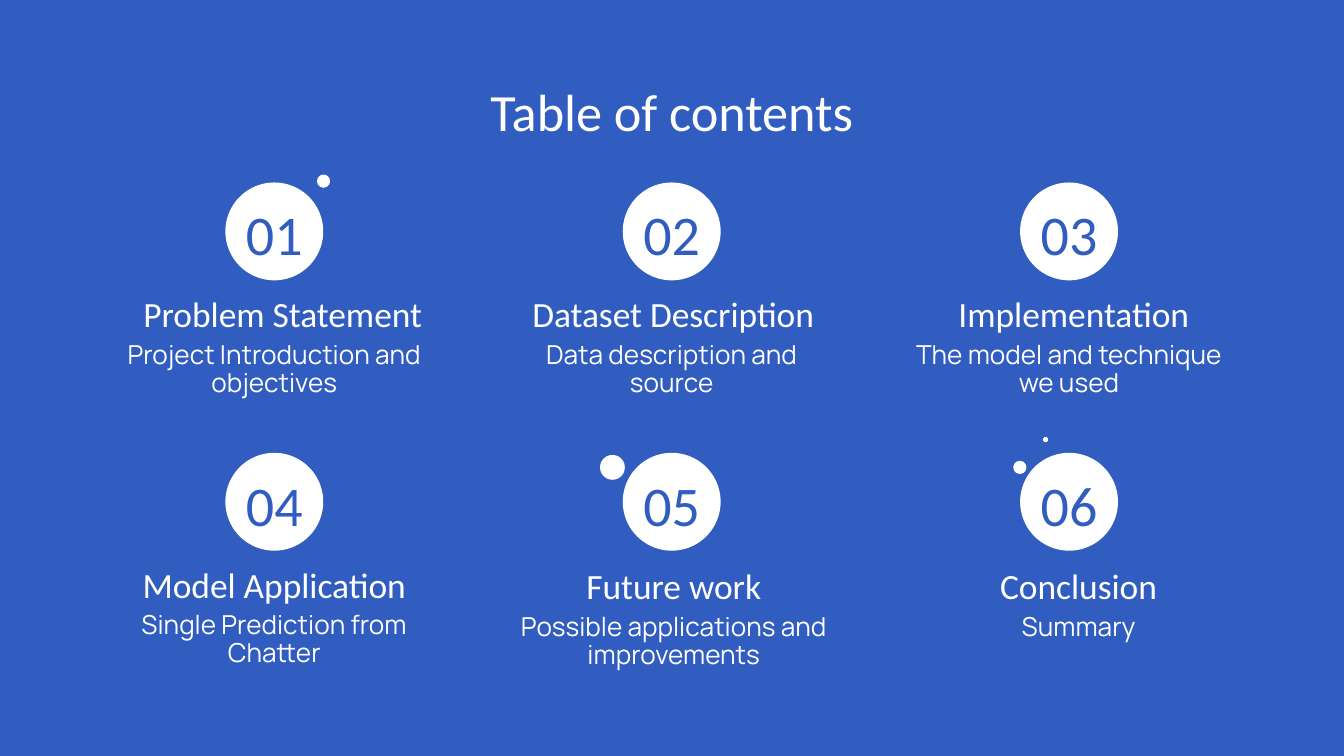
import pptx
import pptx.util
import pptx.dml.color
import pptx.enum.shapes
import pptx.enum.text
from dataclasses import dataclass

Cm = pptx.util.Cm
Pt = pptx.util.Pt
Anchor = pptx.enum.text.MSO_ANCHOR


@dataclass(frozen=True)
class Theme:
    blue: str = "305DBF"
    white: str = "FFFFFF"
    head: str = "Calibri"
    body: str = "Manrope"
    title: int = 28
    number: int = 30
    topic: int = 19
    detail: int = 14


THEME = Theme()

# Grid of circles, in cm
LEFT, TOP = 4.26, 3.45
STEP_X, STEP_Y = 7.51, 5.11
SIZE = 1.85
WIDTH = 6.73

# Number, topic, detail, topic shift, topic width, detail shift, drop
TOPICS = [
    ("01", "Problem Statement", "Project Introduction and objectives", 0.16, 7.06, 0, 0),
    ("02", "Dataset Description", "Data description and source", 0.03, 7.06, 0, 0),
    ("03", "Implementation", "The model and technique we used", 0.09, 7.42, 0, 0),
    ("04", "Model Application", "Single Prediction from Chatter", 0, WIDTH, 0, 0),
    ("05", "Future work", "Possible applications and improvements", 0.04, WIDTH, 0.04, 0.03),
    ("06", "Conclusion", "Summary", 0.18, WIDTH, 0.18, 0.03),
]

# Small dots: left, top, diameter
DOTS = [(5.99, 3.3, 0.25), (19.15, 8.71, 0.25), (19.71, 8.26, 0.1), (11.34, 8.6, 0.47)]


def color(code):
    return pptx.dml.color.RGBColor.from_string(code)


def add_dot(slide, x, y, size):
    oval = pptx.enum.shapes.MSO_SHAPE.OVAL
    dot = slide.shapes.add_shape(oval, Cm(x), Cm(y), Cm(size), Cm(size))
    dot.shadow.inherit = False
    dot.fill.solid()
    dot.fill.fore_color.rgb = color(THEME.white)
    dot.line.fill.background()


def add_text(slide, text, area, font, size, ink=THEME.white, anchor=Anchor.TOP, lines=1.0):
    box = slide.shapes.add_textbox(*map(Cm, area))
    frame = box.text_frame
    frame.word_wrap = True
    frame.vertical_anchor = anchor
    frame.margin_left = frame.margin_right = Cm(0.25)
    frame.margin_top = frame.margin_bottom = Cm(0.25)
    para = frame.paragraphs[0]
    para.alignment = pptx.enum.text.PP_ALIGN.CENTER
    para.line_spacing = lines
    run = para.add_run()
    run.text = text
    run.font.name = font
    run.font.size = Pt(size)
    run.font.color.rgb = color(ink)


def add_topic(slide, index, topic):
    number, name, detail, shift, width, nudge, drop = topic
    row, col = divmod(index, 3)
    x, y = LEFT + col * STEP_X, TOP + row * STEP_Y
    mid = x + SIZE / 2

    # Circle with its number
    add_dot(slide, x, y, SIZE)
    add_text(slide, number, (x, y, SIZE, SIZE), THEME.head, THEME.number,
             THEME.blue, Anchor.BOTTOM)

    # Topic and detail below
    add_text(slide, name, (mid + shift - width / 2, y + 1.83 + drop, width, 1.17),
             THEME.head, THEME.topic)
    add_text(slide, detail, (mid + nudge - WIDTH / 2, y + 2.76 + drop, WIDTH, 1.85),
             THEME.body, THEME.detail, lines=0.9)


def main():
    deck = pptx.Presentation()
    deck.slide_width, deck.slide_height = Cm(25.4), Cm(14.29)
    slide = deck.slides.add_slide(deck.slide_layouts[6])
    slide.background.fill.solid()
    slide.background.fill.fore_color.rgb = color(THEME.blue)

    # Title
    add_text(slide, "Table of contents", (0.86, 1.24, 23.67, 1.6), THEME.head, THEME.title)

    # Six topics
    for index, topic in enumerate(TOPICS):
        add_topic(slide, index, topic)

    # Small dots
    for dot in DOTS:
        add_dot(slide, *dot)

    deck.save("out.pptx")


if __name__ == "__main__":
    main()
